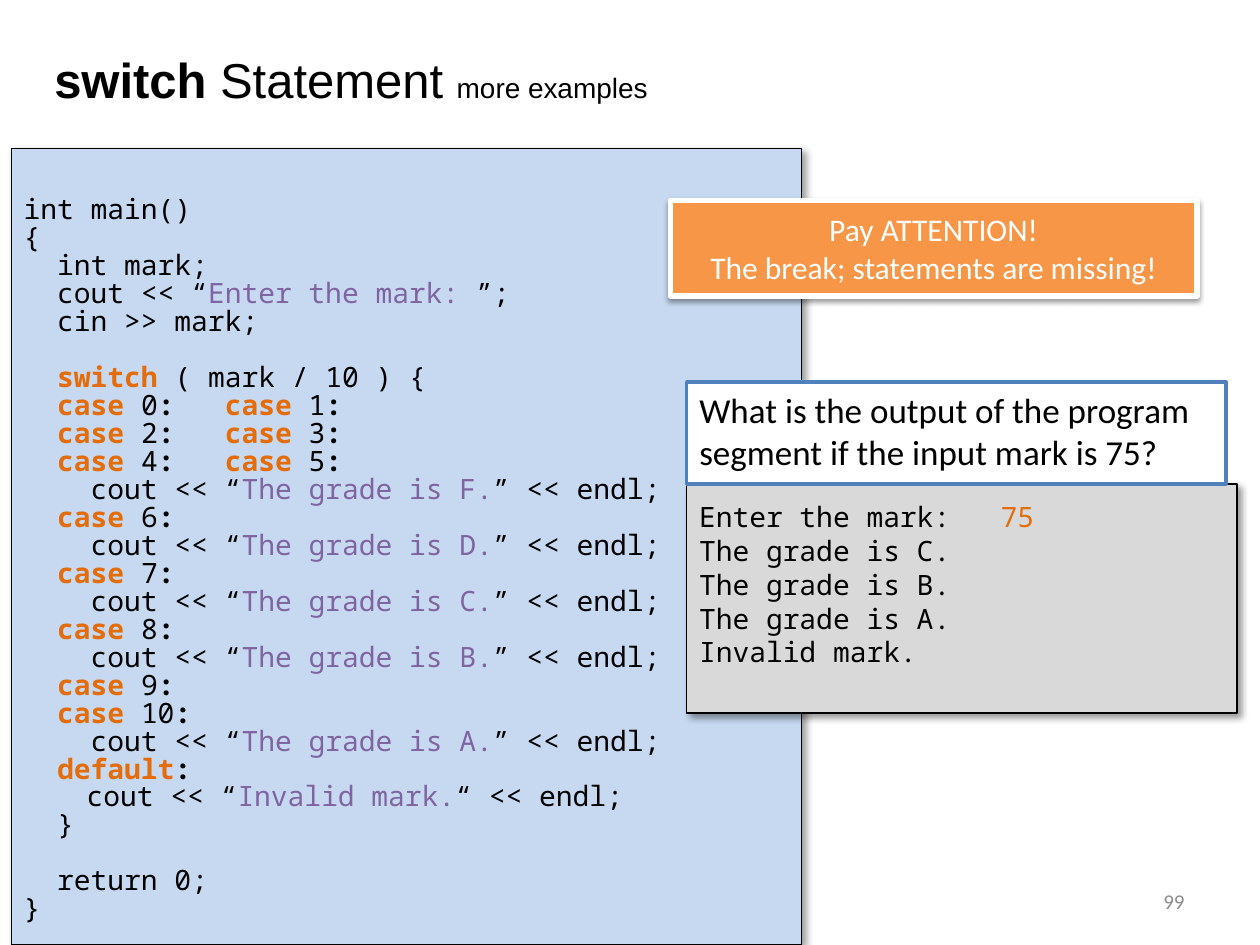
from dataclasses import dataclass
from typing import NamedTuple, Optional

from lxml.etree import SubElement
from pptx import Presentation
from pptx.dml.color import RGBColor
from pptx.enum.shapes import MSO_SHAPE as Shape
from pptx.enum.text import MSO_ANCHOR as Anchor, MSO_AUTO_SIZE as AutoSize, PP_ALIGN as Align
from pptx.oxml.ns import qn
from pptx.util import Pt


@dataclass(frozen=True)
class Theme:
    ink: str = "000000"
    paper: str = "FFFFFF"
    code_fill: str = "C6D9F1"
    output_fill: str = "D9D9D9"
    callout_fill: str = "F79646"
    question_line: str = "4F81BD"
    keyword: str = "E46C0A"
    string: str = "8064A2"
    page_number: str = "8C8C8C"
    title_font: str = "Arial"
    text_font: str = "Calibri"
    code_font: str = "Noto Sans Mono"
    title_size: float = 28
    question_size: float = 20
    callout_size: float = 18
    code_size: float = 16
    number_size: float = 12


THEME = Theme()


class Frame(NamedTuple):
    left: float
    top: float
    width: float
    height: float

    def lengths(self) -> list:
        return [Pt(value) for value in self]


class Shadow(NamedTuple):
    opacity: int
    blur: float
    distance: float
    angle: int


class Span(NamedTuple):
    text: str
    color: str = THEME.ink
    bold: bool = False
    size: Optional[float] = None


@dataclass(frozen=True)
class Line:
    spans: list
    space_before: float = 0
    indent: float = 0


PANEL_SHADOW = Shadow(40, 4, 3, 45)
CALLOUT_SHADOW = Shadow(38, 3.1, 1.6, 90)


def plain(text: str, space_before: float = 0) -> Line:
    return Line([Span(text)], space_before)


def keyword(text: str) -> Span:
    return Span(text, THEME.keyword, True)


def case(*labels: str) -> Line:
    spans = []
    for index, label in enumerate(labels):
        spans += [Span("   " if index else "  "), keyword("case "),
                  Span(label), Span(":", bold=True)]
    return Line(spans)


def output(text: str, lead: str = "    ", close: str = "” << endl;", indent: float = 0) -> Line:
    return Line([Span(f"{lead}cout << “"), Span(text, THEME.string), Span(close)], indent=indent)


CODE = [
    plain("int main()"),
    plain("{"),
    plain("  int mark;"),
    output("Enter the mark: ", "  ", "”;"),
    plain("  cin >> mark;"),
    Line([Span("  "), keyword("switch "), Span("( mark / 10 ) {")], THEME.code_size),
    case("0", "1"),
    case("2", "3"),
    case("4", "5"),
    output("The grade is F."),
    case("6"),
    output("The grade is D."),
    case("7"),
    output("The grade is C."),
    case("8"),
    output("The grade is B."),
    case("9"),
    case("10"),
    output("The grade is A."),
    Line([keyword("  default"), Span(":", bold=True)]),
    output("Invalid mark.", "", "“ << endl;", indent=36),
    plain("  }"),
    plain("  return 0;", THEME.code_size),
    plain("}"),
]
RESULTS = ["The grade is C.", "The grade is B.", "The grade is A.", "Invalid mark."]


def rgb(color: str) -> RGBColor:
    return RGBColor.from_string(color)


def place(box, frame: Frame) -> None:
    box.left, box.top, box.width, box.height = frame.lengths()


def paint(box, fill: str, line: str, line_width: float) -> None:
    box.fill.solid()
    box.fill.fore_color.rgb = rgb(fill)
    box.line.color.rgb = rgb(line)
    box.line.width = Pt(line_width)


def write(box, lines: list, font: str, size: float, anchor=Anchor.MIDDLE,
          align=Align.LEFT, spacing=None, top_inset: float = 3.6) -> None:
    frame = box.text_frame
    frame.word_wrap = True
    frame.auto_size = AutoSize.NONE
    frame.vertical_anchor = anchor
    frame.margin_top = Pt(top_inset)
    for index, line in enumerate(lines):
        para = frame.add_paragraph() if index else frame.paragraphs[0]
        para.alignment = align
        para.space_before = Pt(line.space_before)
        if spacing:
            para.line_spacing = Pt(spacing)
        if line.indent:
            para._p.get_or_add_pPr().set("marL", str(Pt(line.indent)))
        for span in line.spans:
            run = para.add_run()
            run.text = span.text
            run.font.name = font
            run.font.size = Pt(span.size or size)
            run.font.bold = span.bold
            run.font.color.rgb = rgb(span.color)


def add_panel(slide, frame: Frame, fill: str, line: str, line_width: float, shadow: Shadow):
    box = slide.shapes.add_shape(Shape.RECTANGLE, *frame.lengths())
    paint(box, fill, line, line_width)
    box.shadow.inherit = False
    effects = box.element.spPr.find(qn("a:effectLst"))
    outer = SubElement(effects, qn("a:outerShdw"), blurRad=str(Pt(shadow.blur)),
                       dist=str(Pt(shadow.distance)), dir=str(shadow.angle * 60000),
                       algn="tl", rotWithShape="0")
    color = SubElement(outer, qn("a:srgbClr"), val=THEME.ink)
    SubElement(color, qn("a:alpha"), val=str(shadow.opacity * 1000))
    return box


def add_text(slide, frame: Frame, lines: list, font: str, size: float, align=Align.LEFT) -> None:
    write(slide.shapes.add_textbox(*frame.lengths()), lines, font, size, align=align)


def fill_question(body) -> None:
    """Turn the body placeholder into a framed question, above the code panel."""
    place(body, Frame(392.4, 218.2, 308.2, 58.3))
    paint(body, THEME.paper, THEME.question_line, 2)
    question = "What is the output of the program segment if the input mark is 75?"
    write(body, [plain(question)], THEME.text_font, THEME.question_size, Anchor.TOP)
    properties = body.text_frame.paragraphs[0]._p.get_or_add_pPr()
    properties.set("marL", "0")
    properties.set("indent", "0")
    SubElement(properties, qn("a:buNone"))
    body.element.getparent().append(body.element)


def main() -> None:
    deck = Presentation()
    deck.slide_width, deck.slide_height = Pt(720), Pt(540)
    slide = deck.slides.add_slide(deck.slide_layouts[1])

    title = slide.shapes.title
    place(title, Frame(23.8, 0, 648, 90))
    heading = [Span("switch", bold=True), Span(" Statement "), Span("more examples", size=16)]
    write(title, [Line(heading)], THEME.title_font, THEME.title_size)

    code = add_panel(slide, Frame(6.5, 85, 451.4, 455), THEME.code_fill,
                     THEME.ink, 0.75, PANEL_SHADOW)
    write(code, CODE, THEME.code_font, THEME.code_size, Anchor.TOP,
          spacing=THEME.code_size, top_inset=27.6)

    screen = add_panel(slide, Frame(392.4, 276.5, 314.6, 131), THEME.output_fill,
                       THEME.ink, 0.75, PANEL_SHADOW)
    prompt = Line([Span("Enter the mark:   "), Span("75", THEME.keyword)])
    write(screen, [prompt], THEME.code_font, THEME.code_size, Anchor.TOP, top_inset=8.9)
    add_text(slide, Frame(392.4, 308.2, 314.6, 70.6), [plain(text) for text in RESULTS],
             THEME.code_font, THEME.code_size)

    add_text(slide, Frame(516.2, 500.4, 167.8, 28.8), [Line([Span("99", THEME.page_number)])],
             THEME.text_font, THEME.number_size, Align.RIGHT)
    fill_question(slide.placeholders[1])

    callout = add_panel(slide, Frame(383, 114.5, 301, 54.7), THEME.callout_fill,
                        THEME.paper, 3, CALLOUT_SHADOW)
    warning = ["Pay ATTENTION!", "The break; statements are missing!"]
    write(callout, [Line([Span(text, THEME.paper)]) for text in warning],
          THEME.text_font, THEME.callout_size, align=Align.CENTER)

    deck.save("out.pptx")


if __name__ == "__main__":
    main()
